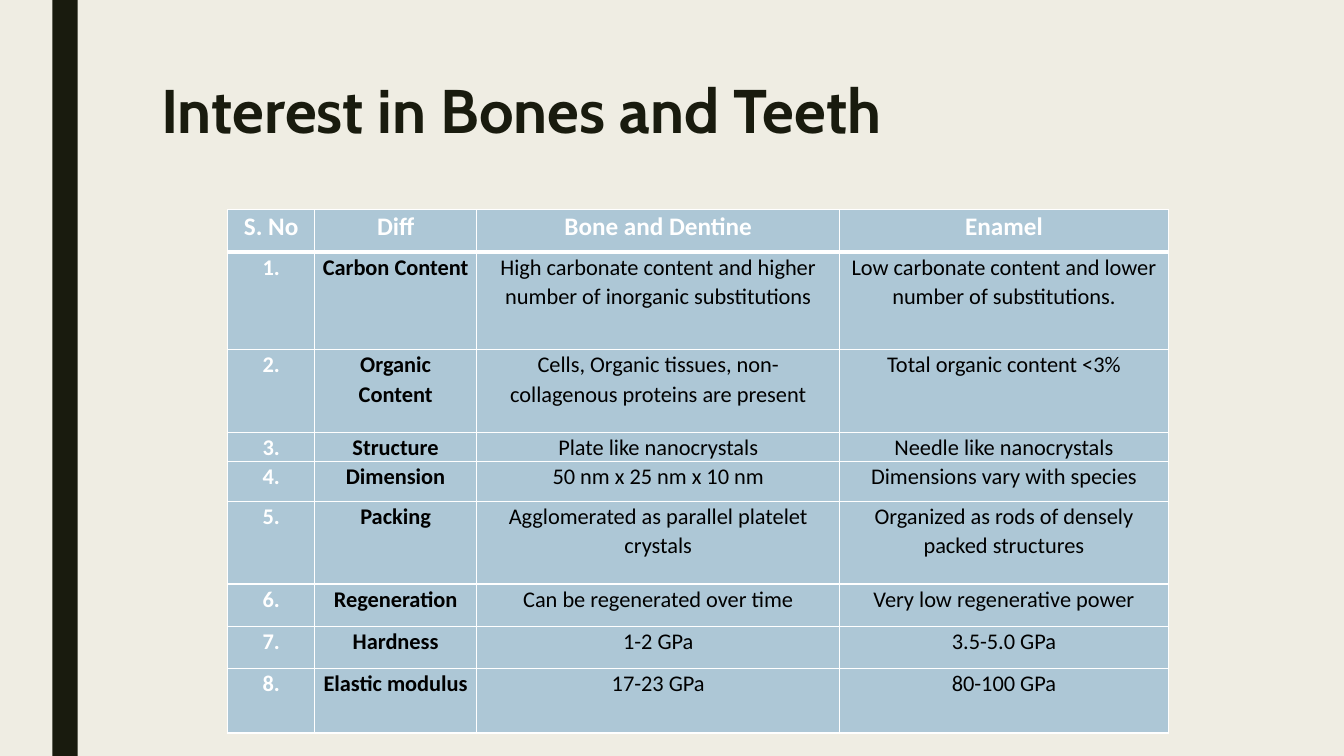
from lxml.etree import SubElement
from pptx import Presentation
from pptx.dml.color import RGBColor
from pptx.enum.shapes import MSO_SHAPE as Shape
from pptx.enum.text import MSO_ANCHOR as Anchor, PP_ALIGN as Align
from pptx.oxml.ns import qn
from pptx.util import Inches, Pt

WIDTH, HEIGHT = Inches(13.33), Inches(7.5)
INK, PAPER, STEEL, WHITE, BLACK = "191B0E", "EFEDE3", "ADC7D6", "FFFFFF", "000000"
COLUMN_SHARES = (6.45, 12.08, 27, 24.45)
ROW_SHARES = (5.6, 12.93, 10.93, 2.8, 5.33, 10.93, 5.6, 5.6, 8.53)
HEADINGS = ("S. No", "Diff", "Bone and Dentine", "Enamel")
DIFFERENCES = (
    ("Carbon Content",
     "High carbonate content and higher number of inorganic substitutions",
     "Low carbonate content and lower number of substitutions."),
    ("Organic Content",
     "Cells, Organic tissues, non-collagenous proteins are present",
     "Total organic content <3%"),
    ("Structure", "Plate like nanocrystals", "Needle like nanocrystals"),
    ("Dimension", "50 nm x 25 nm x 10 nm", "Dimensions vary with species"),
    ("Packing", "Agglomerated as parallel platelet crystals",
     "Organized as rods of densely packed structures"),
    ("Regeneration", "Can be regenerated over time", "Very low regenerative power"),
    ("Hardness", "1-2 GPa", "3.5-5.0 GPa"),
    ("Elastic modulus", "17-23 GPa", "80-100 GPa"),
)


def across(percent):
    """Return a percentage of the slide width."""
    return round(WIDTH * percent / 100)


def down(percent):
    """Return a percentage of the slide height."""
    return round(HEIGHT * percent / 100)


def area(left, top, width, height):
    """Return a box given in percentages of the slide."""
    return across(left), down(top), across(width), down(height)


def paint(fill, color):
    """Make a fill solid in a hex colour."""
    fill.solid()
    fill.fore_color.rgb = RGBColor.from_string(color)


def write(frame, wording, face, size, color, bold, spacing, align):
    """Write one run into the first paragraph of a text frame."""
    paragraph = frame.paragraphs[0]
    paragraph.alignment = align
    paragraph.line_spacing = spacing
    run = paragraph.add_run()
    run.text = wording
    run.font.name = face
    run.font.size = Pt(size)
    run.font.bold = bold
    run.font.color.rgb = RGBColor.from_string(color)


def add_side_bar(slide):
    """Draw the dark band along the left edge."""
    band = slide.shapes.add_shape(Shape.RECTANGLE, *area(3.9, 0, 1.88, 100))
    band.shadow.inherit = False
    paint(band.fill, INK)
    band.line.fill.background()


def add_title(slide, wording):
    """Place the slide title."""
    frame = slide.shapes.add_textbox(*area(11.25, 10, 78.77, 21.6)).text_frame
    frame.word_wrap = True
    frame.vertical_anchor = Anchor.TOP
    write(frame, wording, "Cabin", 44, INK, True, 0.89, Align.LEFT)


def rule_cell(cell, top, bottom):
    """Give a cell white borders with the given top and bottom weights."""
    properties = cell._tc.get_or_add_tcPr()
    for side, weight in (("L", 1), ("R", 1), ("T", top), ("B", bottom)):
        edge = SubElement(properties, qn(f"a:ln{side}"), w=str(Pt(weight)))
        SubElement(SubElement(edge, qn("a:solidFill")), qn("a:srgbClr"), val=WHITE)


def fill_cell(cell, wording, row, column):
    """Style and fill one cell according to its place in the table."""
    header = row == 0
    rule_cell(cell, 3 if row == 1 else 1, 3 if header else 1)
    paint(cell.fill, STEEL)
    cell.margin_left = cell.margin_right = Inches(0.07)
    cell.margin_top = cell.margin_bottom = 0
    cell.vertical_anchor = Anchor.TOP
    color = WHITE if header or column == 0 else BLACK
    write(cell.text_frame, wording, "Calibri", 18 if header else 16, color,
          header or column < 2, 1.07, Align.CENTER)


def add_comparison(slide):
    """Build the table comparing bone and dentine with enamel."""
    numbered = [(f"{number}.", *difference)
                for number, difference in enumerate(DIFFERENCES, 1)]
    place = area(16.95, 27.73, sum(COLUMN_SHARES), sum(ROW_SHARES))
    table = slide.shapes.add_table(len(ROW_SHARES), len(COLUMN_SHARES), *place).table
    for column, share in zip(table.columns, COLUMN_SHARES):
        column.width = across(share)
    for row, share in zip(table.rows, ROW_SHARES):
        row.height = down(share)
    for row, entries in enumerate([HEADINGS, *numbered]):
        for column, wording in enumerate(entries):
            fill_cell(table.cell(row, column), wording, row, column)


def main():
    """Build and save the slide."""
    deck = Presentation()
    deck.slide_width, deck.slide_height = WIDTH, HEIGHT
    slide = deck.slides.add_slide(deck.slide_layouts[6])
    paint(slide.background.fill, PAPER)
    add_side_bar(slide)
    add_title(slide, "Interest in Bones and Teeth")
    add_comparison(slide)
    deck.save("out.pptx")


if __name__ == "__main__":
    main()
